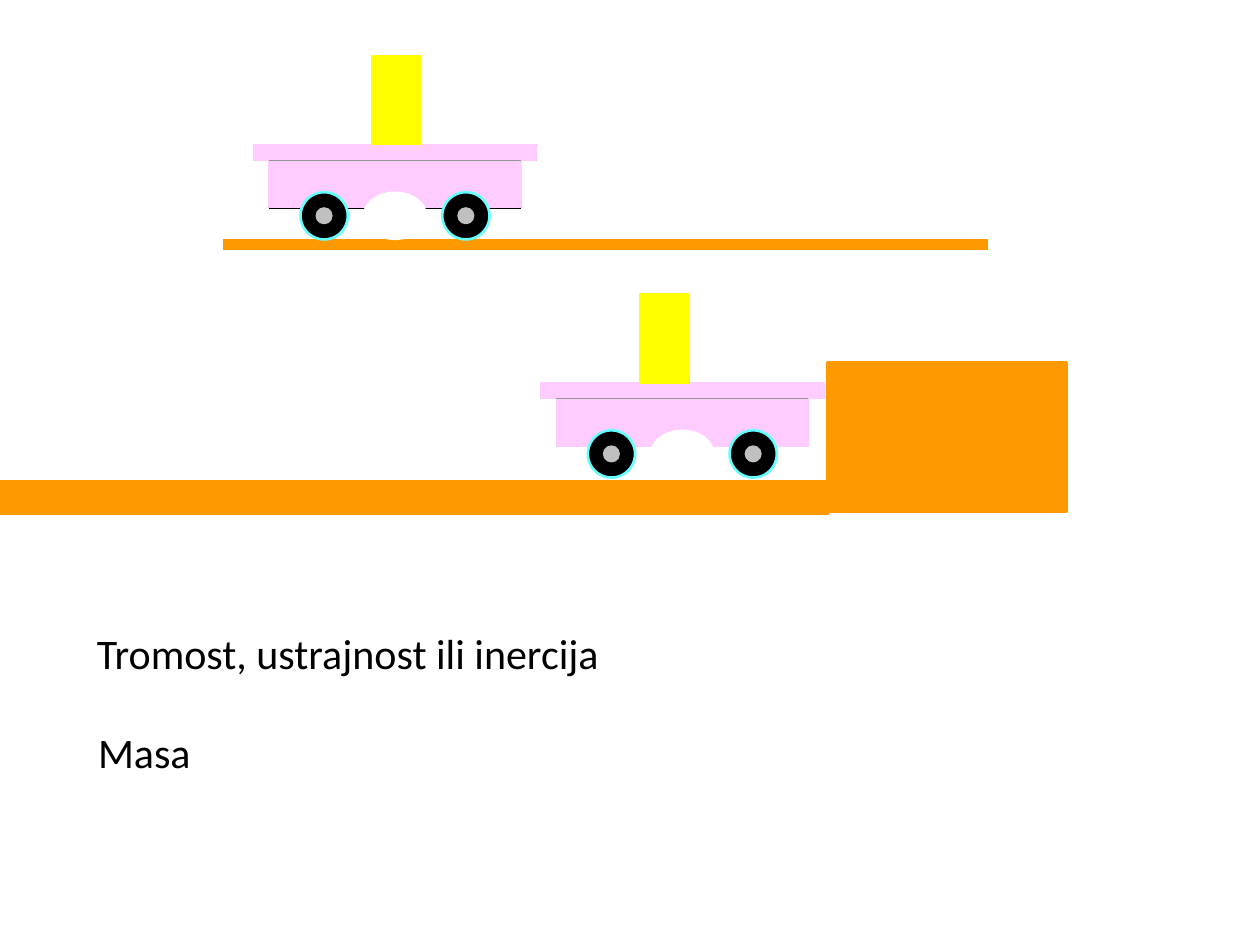
from lxml.etree import SubElement
from pptx import Presentation
from pptx.dml.color import RGBColor as Color
from pptx.enum.shapes import MSO_CONNECTOR as Connector, MSO_SHAPE as Shape
from pptx.enum.text import MSO_AUTO_SIZE as AutoSize, PP_ALIGN as Align
from pptx.oxml.ns import qn
from pptx.util import Inches, Pt

CELL = 0.125  # inches; the slide is 80 columns by 60 rows
COLUMNS, ROWS = 80, 60

BLACK = Color(0x00, 0x00, 0x00)
WHITE = Color(0xFF, 0xFF, 0xFF)
ORANGE = Color(0xFF, 0x99, 0x00)
PINK = Color(0xFF, 0xCC, 0xFF)
CYAN = Color(0x66, 0xFF, 0xFF)
YELLOW = Color(0xFF, 0xFF, 0x00)
SILVER = Color(0xC0, 0xC0, 0xC0)
GRAY = Color(0x96, 0x96, 0x96)

CART_EDGES = [
    (18, 0, 0, 0), (0, 0, 0, 1), (18, 1, 0, 1), (1, 1, 1, 4),
    (17, 1, 17, 4), (6, 4, 12, 4), (1, 4, 3, 4), (15, 4, 17, 4),
]
CART_BODY = [(0, 0), (18, 0), (18, 1), (17, 1), (17, 4), (15, 4), (1, 4), (1, 1), (0, 1)]
WHEEL_COLUMNS = (3, 12)
CARGO_WIDTH, CARGO_HEIGHT = 3.12, 5.68


def cells(*counts):
    return [Inches(count * CELL) for count in counts]


def write_text(frame, text, font="Calibri", size=24, color=BLACK, align=Align.LEFT):
    paragraph = frame.paragraphs[0]
    paragraph.alignment = align
    run = paragraph.add_run()
    run.text = text
    run.font.name, run.font.size = font, Pt(size)
    run.font.color.rgb = color


class Scene:
    """Draws on one slide; every length is counted in grid cells."""

    thin = 0.75

    def __init__(self, slide):
        self.slide = slide

    def group(self):
        return self.slide.shapes.add_group_shape().shapes

    def paint(self, shape, fill, line, width):
        shape.shadow.inherit = False
        shape.fill.solid()
        shape.fill.fore_color.rgb = fill
        shape.line.color.rgb = line or fill
        shape.line.width = Pt(width)

    def line(self, shapes, start, end, color=BLACK, width=thin):
        connector = shapes.add_connector(Connector.STRAIGHT, *cells(*start, *end))
        connector.line.color.rgb = color
        connector.line.width = Pt(width)
        SubElement(connector._element.spPr, qn("a:effectLst"))

    def shape(self, shapes, kind, box, fill, line=None, width=thin):
        self.paint(shapes.add_shape(kind, *cells(*box)), fill, line, width)

    def polygon(self, shapes, points, fill):
        corners = [cells(*point) for point in points]
        builder = shapes.build_freeform(*corners[0])
        builder.add_line_segments(corners[1:], close=True)
        self.paint(builder.convert_to_shape(), fill, None, self.thin)

    def text(self, box, text):
        frame = self.slide.shapes.add_textbox(*cells(*box)).text_frame
        frame.word_wrap = False
        frame.auto_size = AutoSize.SHAPE_TO_FIT_TEXT
        write_text(frame, text)

    def cart(self, left, top, cargo_offset):
        """Draw a cart with its top left corner at left, top, and a block standing on it."""
        shapes = self.group()
        for x1, y1, x2, y2 in CART_EDGES:
            self.line(shapes, (left + x1, top + y1), (left + x2, top + y2))
        self.polygon(shapes, [(left + x, top + y) for x, y in CART_BODY], PINK)
        self.line(shapes, (left + 1, top + 1), (left + 17, top + 1), GRAY)
        for column in WHEEL_COLUMNS:
            wheel = left + column
            self.shape(shapes, Shape.OVAL, (wheel, top + 3, 3, 3), BLACK, CYAN, 1.5)
            self.shape(shapes, Shape.OVAL, (wheel + 1, top + 4, 1, 1), SILVER)
        self.shape(shapes, Shape.OVAL, (left + 7, top + 3, 4, 3), WHITE)
        cargo = (left + cargo_offset, top - CARGO_HEIGHT, CARGO_WIDTH, CARGO_HEIGHT)
        self.shape(self.slide.shapes, Shape.RECTANGLE, cargo, YELLOW)

    def barrier(self, edge):
        """Draw the ground up to the edge column and the block that starts there."""
        shapes = self.group()
        self.shape(shapes, Shape.RECTANGLE, (edge, 23.04, 15.12, 9.44), ORANGE, width=2.25)
        self.shape(shapes, Shape.RECTANGLE, (0, 30.64, edge, 1.92), ORANGE, width=3)


def main():
    presentation = Presentation()
    presentation.slide_width, presentation.slide_height = cells(COLUMNS, ROWS)
    scene = Scene(presentation.slides.add_slide(presentation.slide_layouts[6]))

    scene.line(scene.slide.shapes, (14.16, 15.52), (62.72, 15.52), ORANGE, 6)
    scene.cart(16.08, 9.2, cargo_offset=7.52)
    scene.cart(34.32, 24.32, cargo_offset=6.32)
    scene.text((5.36, 39.44, 33.76, 4), "Tromost, ustrajnost ili inercija")
    scene.text((5.44, 45.76, 7.52, 4), "Masa")
    scene.barrier(edge=52.56)

    presentation.save("out.pptx")


if __name__ == "__main__":
    main()
